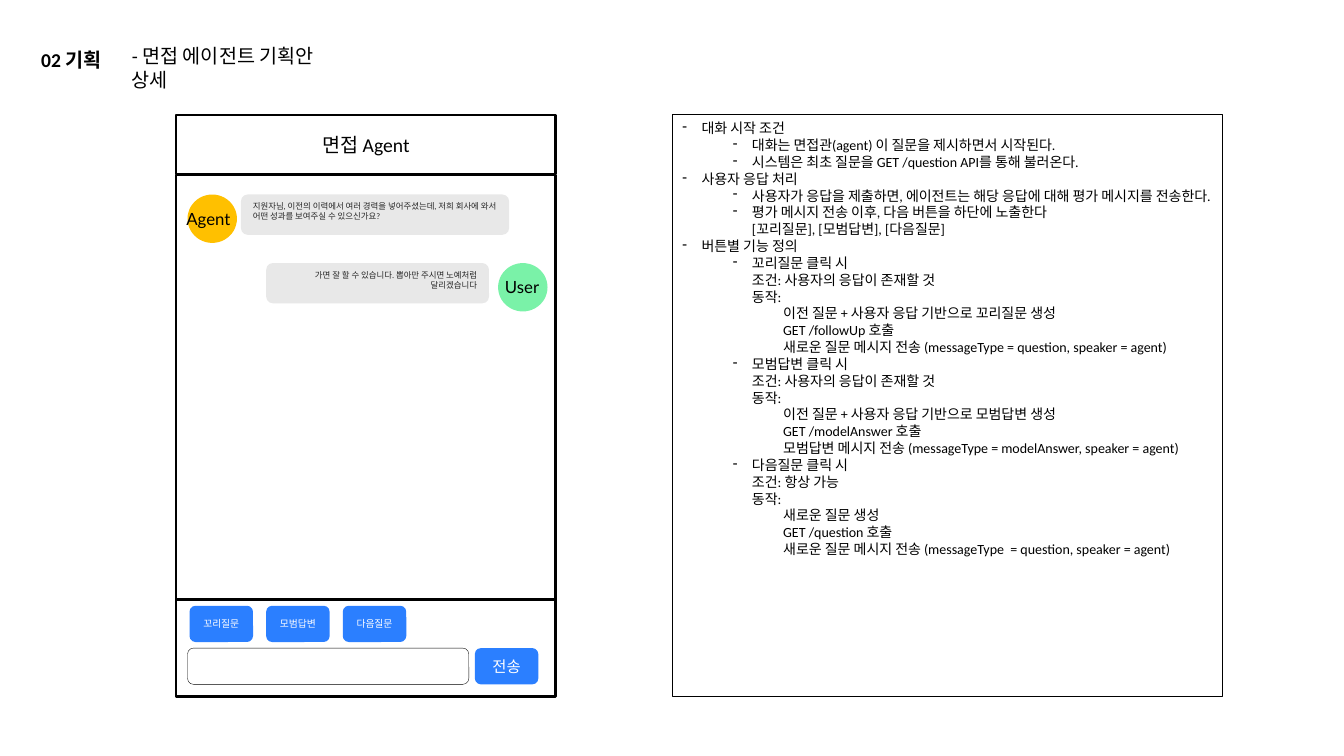
from pptx import Presentation
from pptx import util as u
from pptx.dml.color import RGBColor
from pptx.enum import shapes, text
from pptx.oxml.ns import qn
from lxml import etree

PX = 9144  # 100 px to the inch
BLACK = RGBColor(0x00, 0x00, 0x00)
WHITE = RGBColor(0xFF, 0xFF, 0xFF)
INK = RGBColor(0x26, 0x26, 0x26)
BUBBLE = RGBColor(0xE8, 0xE8, 0xE8)
BLUE = RGBColor(0x2B, 0x7F, 0xFF)
AMBER = RGBColor(0xFF, 0xC0, 0x00)
MINT = RGBColor(0x7A, 0xF2, 0xA8)
RECT = shapes.MSO_SHAPE.RECTANGLE
ROUND = shapes.MSO_SHAPE.ROUNDED_RECTANGLE
OVAL = shapes.MSO_SHAPE.OVAL
LEFT, CENTER, RIGHT = text.PP_ALIGN.LEFT, text.PP_ALIGN.CENTER, text.PP_ALIGN.RIGHT
TOP, MIDDLE = text.MSO_ANCHOR.TOP, text.MSO_ANCHOR.MIDDLE


def add_box(parent, kind, at, fill=None, line=None):
    sp = parent.shapes.add_shape(kind, *[v * PX for v in at])
    sp.shadow.inherit = False
    if fill is None:
        sp.fill.background()
    else:
        sp.fill.solid()
        sp.fill.fore_color.rgb = fill
    if line is None:
        sp.line.fill.background()
    else:
        sp.line.color.rgb = BLACK
        sp.line.width = u.Pt(line)
    return sp


def write(p, words, size, color=BLACK, align=LEFT, font="Calibri", bold=False):
    p.alignment = align
    for i, part in enumerate(words.split("\n")):
        if i:
            p.add_line_break()
        r = p.add_run()
        r.text = part
        r.font.size = u.Pt(size)
        r.font.name = font
        r.font.bold = bold
        r.font.color.rgb = color


prs = Presentation()
prs.slide_width, prs.slide_height = 1333 * PX, 750 * PX
s = prs.slides.add_slide(prs.slide_layouts[6])

# Description panel: (level, text), level 2 is an unbulleted detail
notes = [
    (0, "대화 시작 조건"),
    (1, "대화는 면접관(agent) 이 질문을 제시하면서 시작된다."),
    (1, "시스템은 최초 질문을 GET /question API를 통해 불러온다."),
    (0, "사용자 응답 처리"),
    (1, "사용자가 응답을 제출하면, 에이전트는 해당 응답에 대해 평가 메시지를 전송한다."),
    (1, "평가 메시지 전송 이후, 다음 버튼을 하단에 노출한다\n[꼬리질문], [모범답변], [다음질문]"),
    (0, "버튼별 기능 정의"),
    (1, "꼬리질문 클릭 시\n조건: 사용자의 응답이 존재할 것\n동작:\n"
        "\t이전 질문 + 사용자 응답 기반으로 꼬리질문 생성\n"
        "\tGET /followUp 호출\n"
        "\t새로운 질문 메시지 전송 (messageType = question, speaker = agent)"),
    (1, "모범답변 클릭 시\n조건: 사용자의 응답이 존재할 것\n동작:\n"
        "\t이전 질문 + 사용자 응답 기반으로 모범답변 생성\n"
        "\tGET /modelAnswer 호출\n"
        "\t모범답변 메시지 전송 (messageType = modelAnswer, speaker = agent)"),
    (1, "다음질문 클릭 시\n조건: 항상 가능\n동작:"),
    (2, "\t새로운 질문 생성"),
    (2, "\tGET /question 호출"),
    (2, "\t새로운 질문 메시지 전송 (messageType  = question, speaker = agent)"),
]
MARGINS = [(19, -19), (69, -19), (50, 0)]
panel = add_box(s, RECT, (667, 114, 546, 577), line=0.75)
tf = panel.text_frame
tf.word_wrap = True
tf.vertical_anchor = TOP
for i, (level, words) in enumerate(notes):
    p = tf.paragraphs[0] if i == 0 else tf.add_paragraph()
    p.level = min(level, 1)
    write(p, words, 10)
    pPr = p._p.get_or_add_pPr()
    margin, indent = MARGINS[level]
    pPr.set("marL", str(margin * PX))
    pPr.set("indent", str(indent * PX))
    if level < 2:
        etree.SubElement(pPr, qn("a:buChar")).set("char", "-")
    else:
        etree.SubElement(pPr, qn("a:buNone"))

# Chat screen frame
screen = s.shapes.add_group_shape()
add_box(screen, RECT, (175, 174, 376, 421), line=1.5)
header = add_box(screen, RECT, (175, 114, 376, 59), line=1.5)
header.text_frame.vertical_anchor = MIDDLE
write(header.text_frame.paragraphs[0], "면접 Agent", 14, align=CENTER)
add_box(screen, RECT, (175, 594, 376, 97), line=1.5)

# Avatars and speech bubbles
for top, avatar_x, color, bubble_x, width, align, words in [
    (193, 186, AMBER, 239, 266, LEFT,
     "지원자님, 이전의 이력에서 여러 경력을 넣어주셨는데, 저희 회사에 와서 어떤 성과를 보여주실 수 있으신가요?"),
    (261, 494, MINT, 264, 221, RIGHT,
     "가면 잘 할 수 있습니다. 뽑아만 주시면 노예처럼 달리겠습니다"),
]:
    add_box(screen, OVAL, (avatar_x, top, 49, 48), fill=color)
    bubble = add_box(screen, ROUND, (bubble_x, top, width, 40), fill=BUBBLE)
    bubble.text_frame.word_wrap = True
    bubble.text_frame.vertical_anchor = TOP
    write(bubble.text_frame.paragraphs[0], words, 6, INK, align)

# Input field and buttons
add_box(screen, ROUND, (186, 643, 279, 36), line=0.25)
buttons = [("전송", 471, 643, 11)]
buttons += [(name, 188 + 76 * i, 601, 7)
            for i, name in enumerate(["꼬리질문", "모범답변", "다음질문"])]
for name, x, y, size in buttons:
    button = add_box(screen, ROUND, (x, y, 63, 36), fill=BLUE)
    button.text_frame.vertical_anchor = MIDDLE
    write(button.text_frame.paragraphs[0], name, size, WHITE, CENTER)

# Slide title and avatar labels
heading = s.shapes.add_group_shape()
for parent, at, words, size, font, bold, wrap in [
    (heading, (31, 43, 91, 34), "02 기획", 14, "Calibri", True, False),
    (heading, (121, 39, 229, 34), "- 면접 에이전트 기획안 상세", 14, "Calibri", False, True),
    (s, (175, 202, 66, 30), "Agent", 12, "Lato", False, False),
    (s, (491, 270, 55, 30), "User", 12, "Lato", False, False),
]:
    label = parent.shapes.add_textbox(*[v * PX for v in at])
    label.text_frame.word_wrap = wrap
    write(label.text_frame.paragraphs[0], words, size, font=font, bold=bold)

prs.save("out.pptx")
